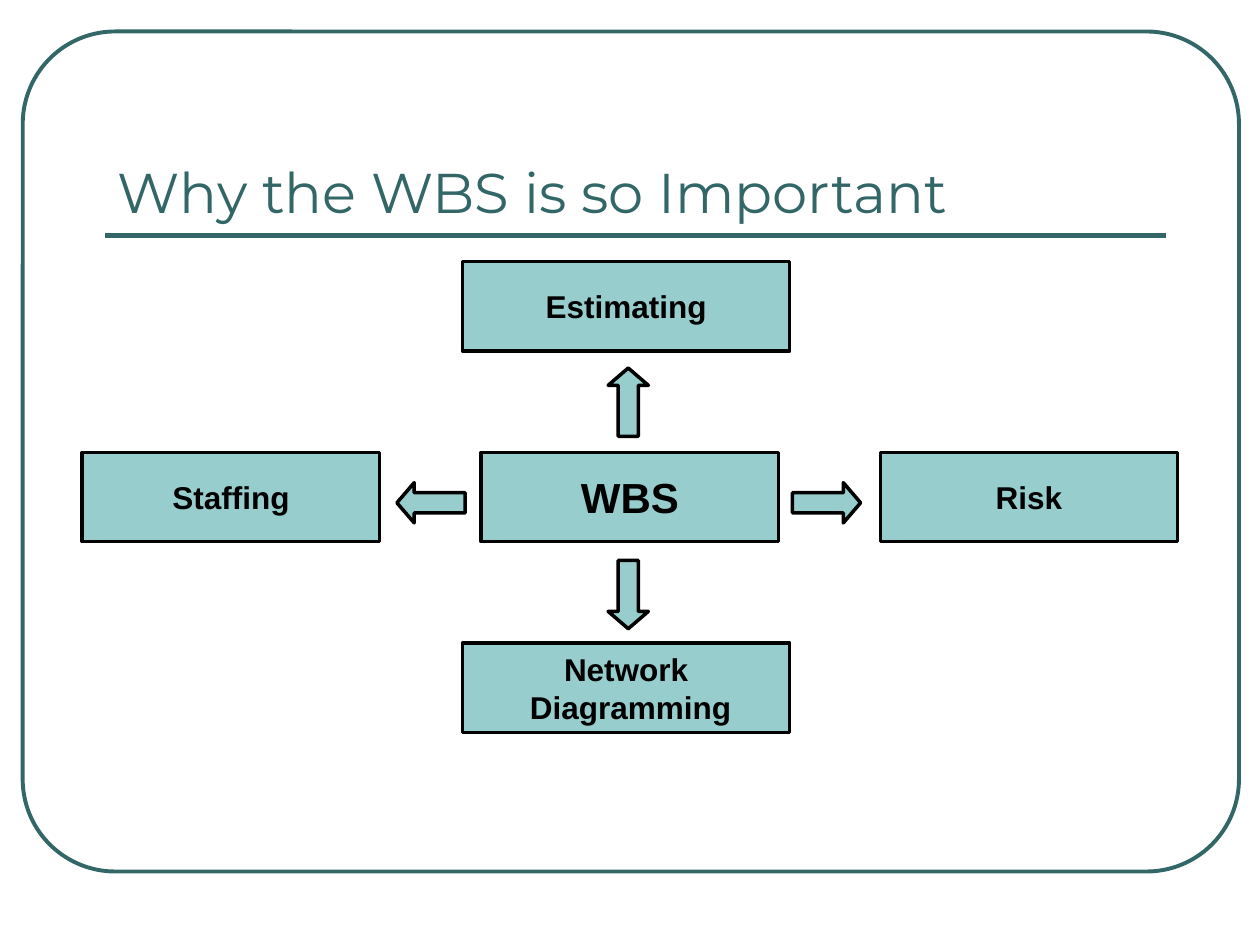
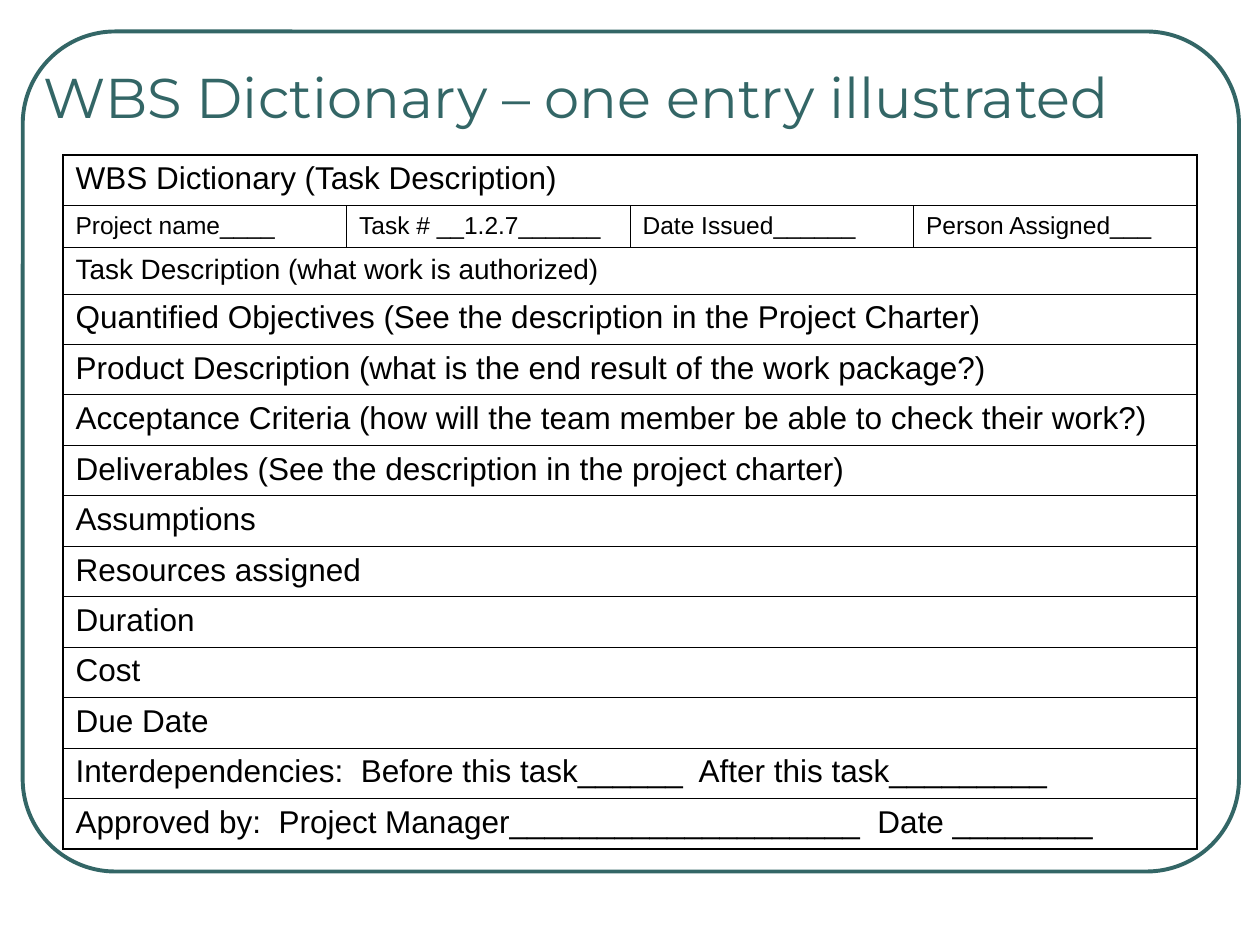
"""Two slides on the work breakdown structure: its uses and a dictionary entry."""
from lxml.etree import SubElement
from pptx import Presentation
from pptx.dml.color import RGBColor
from pptx.enum.shapes import MSO_CONNECTOR as Connector, MSO_SHAPE as Shape
from pptx.enum.text import MSO_ANCHOR as Anchor, PP_ALIGN as Align
from pptx.oxml.ns import qn
from pptx.util import Pt

TEAL = RGBColor(0x33, 0x66, 0x66)
AQUA = RGBColor(0x97, 0xCD, 0xCC)
BLACK = RGBColor(0, 0, 0)
WHITE = RGBColor(255, 255, 255)
PLAIN_TABLE_STYLE = "{2D5ABB26-0587-4C30-8999-92F81FD0307C}"
OUTER, INNER = 1.08, 0.45

DICTIONARY_ROWS = [
    (["WBS Dictionary (Task Description)"], 18),
    (["Project name____", "Task # __1.2.7______", "Date Issued______", "Person Assigned___"], 14),
    (["Task Description (what work is authorized)"], 16),
    (["Quantified Objectives (See the description in the Project Charter)"], 18),
    (["Product Description (what is the end result of the work package?)"], 18),
    (["Acceptance Criteria (how will the team member be able to check their work?)"], 18),
    (["Deliverables (See the description in the project charter)"], 18),
    (["Assumptions"], 18),
    (["Resources assigned"], 18),
    (["Duration"], 18),
    (["Cost"], 18),
    (["Due Date"], 18),
    (["Interdependencies:  Before this task______  After this task_________"], 18),
    (["Approved by:  Project Manager____________________  Date ________"], 18),
]
ROW_HEIGHTS = {14: 23.9, 16: 26.5, 18: 28.8}


def write(frame, text, size=18, font="Arial", color=BLACK, bold=False,
          align=Align.LEFT, space_before=0):
    """Fill a text frame with one paragraph per line of text."""
    for index, line in enumerate(text.split("\n")):
        paragraph = frame.add_paragraph() if index else frame.paragraphs[0]
        paragraph.alignment = align
        paragraph.space_before = Pt(space_before)
        run = paragraph.add_run()
        run.text = line
        run.font.size, run.font.name, run.font.bold = Pt(size), font, bold
        run.font.color.rgb = color


class Deck:
    """Hold the shared style and the current slide."""

    def __init__(self):
        """Start a 4:3 presentation."""
        self.presentation = Presentation()
        self.presentation.slide_width = Pt(720)
        self.presentation.slide_height = Pt(540)
        self.slide = None

    def add_slide(self, title, left, top, width):
        """Add a blank slide with the rounded frame and a title."""
        self.slide = self.presentation.slides.add_slide(self.presentation.slide_layouts[6])
        frame = self.shape(Shape.ROUNDED_RECTANGLE, 13, 18, 695, 480,
                           fill=None, line=TEAL, weight=2.25)
        frame.adjustments[0] = 0.11
        box = self.slide.shapes.add_textbox(Pt(left), Pt(top), Pt(width), Pt(90))
        box.text_frame.word_wrap = True
        box.text_frame.vertical_anchor = Anchor.BOTTOM
        write(box.text_frame, title, size=32, font="Montserrat", color=TEAL)

    def shape(self, kind, left, top, width, height, fill=AQUA, line=BLACK, weight=2):
        """Add a flat preset shape."""
        shape = self.slide.shapes.add_shape(kind, Pt(left), Pt(top), Pt(width), Pt(height))
        shape.shadow.inherit = False
        if fill is None:
            shape.fill.background()
        else:
            shape.fill.solid()
            shape.fill.fore_color.rgb = fill
        shape.line.color.rgb = line
        shape.line.width = Pt(weight)
        return shape

    def rule(self, left, right, y):
        """Add the line under the title."""
        line = self.slide.shapes.add_connector(
            Connector.STRAIGHT, Pt(left), Pt(y), Pt(right), Pt(y))
        line.line.color.rgb = TEAL
        line.line.width = Pt(3)
        SubElement(line.element.spPr, qn("a:effectLst"))

    def box(self, text, center_x, center_y, width=170, size=18):
        """Add a labelled box around a centre."""
        box = self.shape(Shape.RECTANGLE, center_x - width / 2, center_y - 25.5, width, 51)
        box.text_frame.word_wrap = False
        box.text_frame.vertical_anchor = Anchor.MIDDLE
        write(box.text_frame, text, size=size, bold=True, align=Align.CENTER)

    def arrow(self, center_x, center_y, rotation):
        """Add a block arrow around a centre."""
        arrow = self.shape(Shape.RIGHT_ARROW, center_x - 19.5, center_y - 11.5, 39, 23)
        arrow.adjustments[1] = 0.43
        arrow.rotation = rotation

    def border(self, cell, **weights):
        """Draw the cell's sides, named L, R, T and B in that order."""
        properties = cell._tc.get_or_add_tcPr()
        for side, weight in weights.items():
            line = SubElement(properties, qn(f"a:ln{side}"), w=str(Pt(weight)))
            fill = SubElement(line, qn("a:solidFill"))
            SubElement(fill, qn("a:srgbClr"), val=str(BLACK))

    def table(self, rows, left, top, width, columns):
        """Add a ruled table whose single-cell rows span every column."""
        heights = [ROW_HEIGHTS[size] for _, size in rows]
        graphic = self.slide.shapes.add_table(
            len(rows), columns, Pt(left), Pt(top), Pt(width), Pt(sum(heights)))
        table = graphic.table
        table.first_row = table.horz_banding = False
        for style in graphic.element.iter(qn("a:tableStyleId")):
            style.text = PLAIN_TABLE_STYLE
        last_row = len(rows) - 1
        for row, (texts, size) in enumerate(rows):
            table.rows[row].height = Pt(heights[row])
            if len(texts) == 1:
                table.cell(row, 0).merge(table.cell(row, columns - 1))
            for column, text in enumerate(texts):
                cell = table.cell(row, column)
                self.border(cell,
                            L=INNER if column else OUTER,
                            R=OUTER if column == len(texts) - 1 else INNER,
                            T=INNER if row else OUTER,
                            B=OUTER if row == last_row else INNER)
                cell.fill.solid()
                cell.fill.fore_color.rgb = WHITE
                write(cell.text_frame, text, size=size, space_before=size / 4)


def main():
    """Build both slides and save them."""
    deck = Deck()

    deck.add_slide("Why the WBS is so Important", 60, 41.8, 606)
    deck.rule(60, 666, 134.6)
    center_x, center_y = 360, 284
    deck.box("WBS", center_x, center_y, size=24)
    for text, side in (("Risk", 1), ("Staffing", -1)):
        deck.box(text, center_x + side * 228, center_y)
    for text, side in (("Network\n Diagramming", 1), ("Estimating", -1)):
        deck.box(text, center_x - 2.2, center_y + side * 109, width=187)
    for side, across, down in ((1, 0, 90), (-1, 180, 270)):
        deck.arrow(center_x - 0.7 + side * 113, center_y + 3.3, across)
        deck.arrow(center_x - 1, center_y + 0.8 + side * 55, down)

    deck.add_slide("WBS Dictionary – one entry illustrated", 18, -12.2, 684)
    deck.table(DICTIONARY_ROWS, 36, 88.6, 648, 4)

    deck.presentation.save("out.pptx")


if __name__ == "__main__":
    main()
